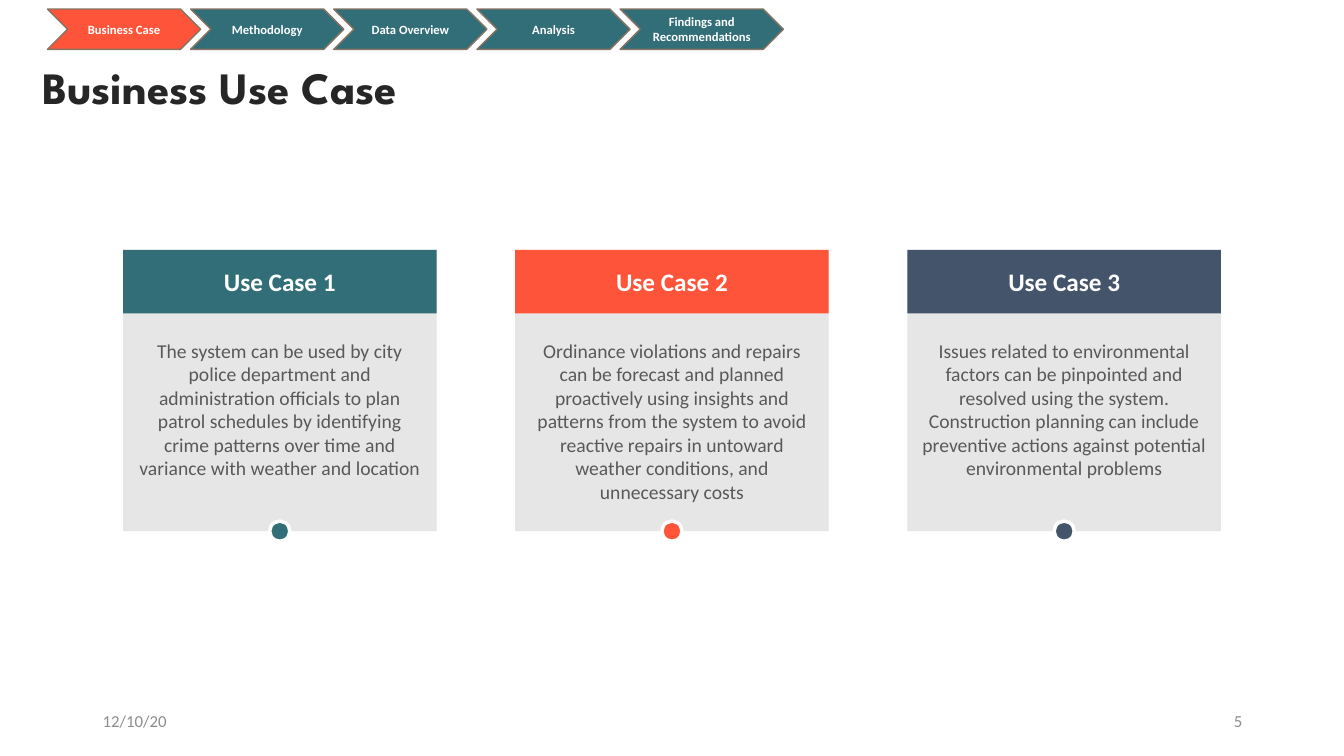
import pptx
import pptx.util
from pptx.dml.color import RGBColor
from pptx.enum.shapes import MSO_SHAPE
from pptx.enum.text import MSO_ANCHOR, PP_ALIGN

TEAL = RGBColor(0x32, 0x6E, 0x78)
ORANGE = RGBColor(0xFE, 0x54, 0x3A)
SLATE = RGBColor(0x44, 0x54, 0x6A)
PANEL = RGBColor(0xE7, 0xE6, 0xE6)
BROWN = RGBColor(0x86, 0x74, 0x61)
WHITE = RGBColor(0xFF, 0xFF, 0xFF)
INK = RGBColor(0x26, 0x26, 0x26)
BODY = RGBColor(0x59, 0x59, 0x59)
MUTED = RGBColor(0x8C, 0x8C, 0x8C)

TITLE = "Business Use Case"
DATE, PAGE = "12/10/20", "5"
STEPS = [  # label, width
    ("Business Case", 1.52),
    ("Methodology", 1.52),
    ("Data Overview", 1.52),
    ("Analysis", 1.52),
    ("Findings and Recommendations", 1.62),
]
CURRENT_STEP = 0
CASES = [  # heading, colour, text, text height
    ("Use Case 1", TEAL,
     "The system can be used by city police department and administration "
     "officials to plan patrol schedules by identifying crime patterns over "
     "time and variance with weather and location", 1.41),
    ("Use Case 2", ORANGE,
     "Ordinance violations and repairs can be forecast and planned proactively "
     "using insights and patterns from the system to avoid reactive repairs in "
     "untoward weather conditions, and unnecessary costs", 1.65),
    ("Use Case 3", SLATE,
     "Issues related to environmental factors can be pinpointed and resolved "
     "using the system. Construction planning can include preventive actions "
     "against potential environmental problems", 1.41),
]

STEP_LEFT, STEP_TOP, STEP_PITCH, STEP_H = 0.47, 0.09, 1.42, 0.4
CARD_LEFT, CARD_TOP, CARD_PITCH = 1.22, 2.48, 3.89
CARD_W, CARD_H, HEAD_H = 3.11, 2.79, 0.63
TEXT_INSET, TEXT_DROP = 0.13, 0.88
DOT = 0.2
FOOT_TOP, FOOT_W, FOOT_H = 6.95, 3, 0.4


def inches(*lengths):
    return [pptx.util.Inches(v) for v in lengths]


def write(sp, text, size, color, align, bold=False, font="Calibri"):
    tf = sp.text_frame
    tf.word_wrap = True
    p = tf.paragraphs[0]
    p.text = text
    p.alignment = align
    p.font.name = font
    p.font.size = pptx.util.Pt(size)
    p.font.bold = bold
    p.font.color.rgb = color
    return tf


def add_block(shapes, kind, box, fill, line=None, weight=0):
    sp = shapes.add_shape(kind, *inches(*box))
    sp.shadow.inherit = False
    sp.fill.solid()
    sp.fill.fore_color.rgb = fill
    if line is None:
        sp.line.fill.background()
    else:
        sp.line.color.rgb = line
        sp.line.width = pptx.util.Pt(weight)
    return sp


def add_label(shapes, box, *style, **options):
    """Add a text box without inner margins."""
    tf = write(shapes.add_textbox(*inches(*box)), *style, **options)
    tf.margin_left = tf.margin_right = tf.margin_top = tf.margin_bottom = 0


def add_card(shapes, left, heading, color, text, text_h):
    add_block(shapes, MSO_SHAPE.RECTANGLE, (left, CARD_TOP, CARD_W, CARD_H), PANEL)
    head = add_block(shapes, MSO_SHAPE.RECTANGLE,
                     (left, CARD_TOP, CARD_W, HEAD_H), color)
    tf = write(head, heading, 18, WHITE, PP_ALIGN.CENTER, bold=True)
    tf.vertical_anchor = MSO_ANCHOR.MIDDLE
    add_label(shapes, (left + TEXT_INSET, CARD_TOP + TEXT_DROP,
                       CARD_W - 2 * TEXT_INSET, text_h),
              text, 14, BODY, PP_ALIGN.CENTER)
    add_block(shapes, MSO_SHAPE.OVAL,
              (left + (CARD_W - DOT) / 2, CARD_TOP + CARD_H - DOT / 2, DOT, DOT),
              color, WHITE, 2.5)


def add_steps(shapes):
    for i, (label, width) in enumerate(STEPS):
        sp = add_block(shapes, MSO_SHAPE.CHEVRON,
                       (STEP_LEFT + i * STEP_PITCH, STEP_TOP, width, STEP_H),
                       ORANGE if i == CURRENT_STEP else TEAL, BROWN, 1)
        tf = write(sp, label, 9, WHITE, PP_ALIGN.CENTER, bold=True)
        tf.vertical_anchor = MSO_ANCHOR.MIDDLE


def main():
    prs = pptx.Presentation()
    prs.slide_width, prs.slide_height = inches(13.33, 7.5)
    shapes = prs.slides.add_slide(prs.slide_layouts[6]).shapes
    add_label(shapes, (0.42, 0.59, 12.5, 0.54), TITLE, 32, INK, PP_ALIGN.LEFT,
              bold=True, font="League Spartan")
    for i, case in enumerate(CASES):
        add_card(shapes, CARD_LEFT + i * CARD_PITCH, *case)
    add_steps(shapes)
    for left, text, align in ((0.92, DATE, PP_ALIGN.LEFT),
                              (9.42, PAGE, PP_ALIGN.RIGHT)):
        sp = shapes.add_textbox(*inches(left, FOOT_TOP, FOOT_W, FOOT_H))
        tf = write(sp, text, 12, MUTED, align)
        tf.vertical_anchor = MSO_ANCHOR.MIDDLE
    prs.save("out.pptx")


if __name__ == "__main__":
    main()
